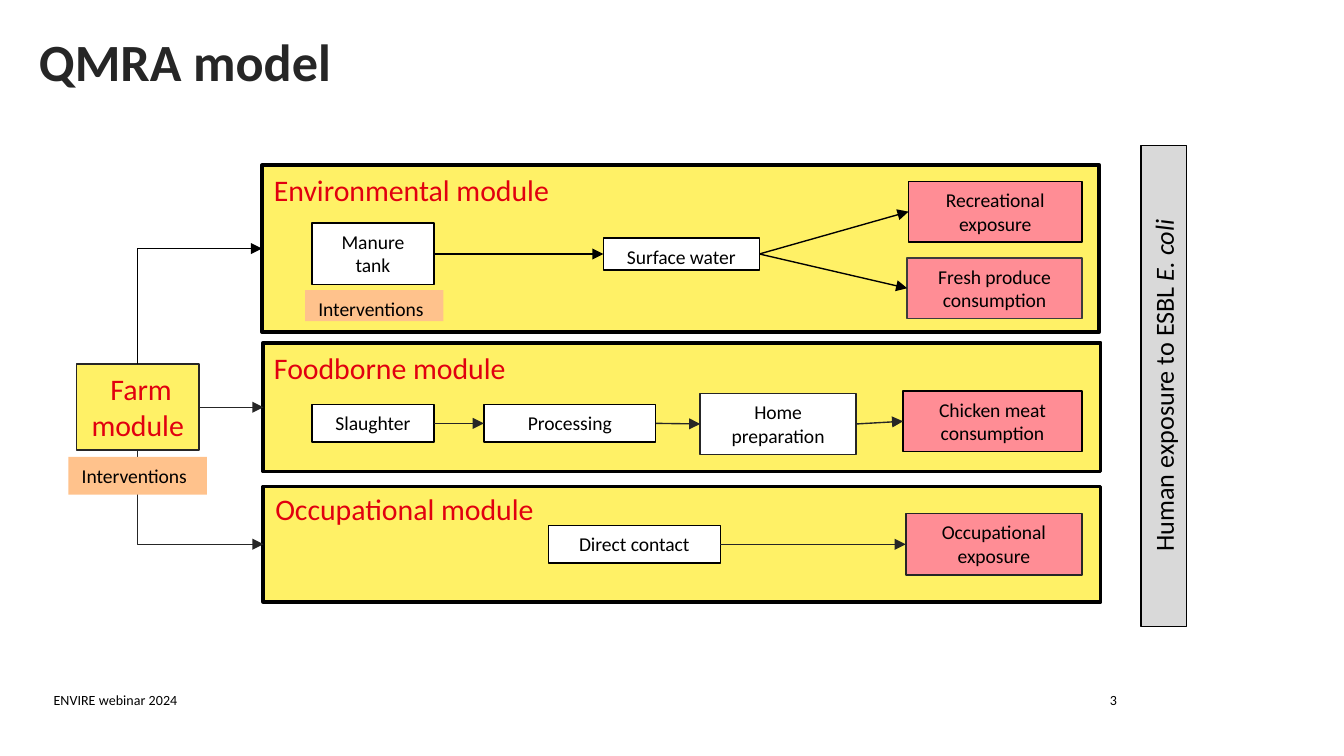
from lxml import etree
from pptx import Presentation
from pptx.dml.color import RGBColor
from pptx.enum.shapes import MSO_CONNECTOR as Connector, MSO_SHAPE as Shape
from pptx.enum.text import MSO_ANCHOR as Anchor, PP_ALIGN as Align
from pptx.oxml.ns import qn
from pptx.util import Pt

PX = 9144  # EMU per px, 100 px to the inch
SLIDE_WIDTH = 1000 * PX
SLIDE_HEIGHT = SLIDE_WIDTH * 9 // 16
FONT = "Calibri"
BLACK = RGBColor(0x00, 0x00, 0x00)
DARK = RGBColor(0x26, 0x26, 0x26)
GREY = RGBColor(0x3C, 0x3C, 0x3C)
SILVER = RGBColor(0xD9, 0xD9, 0xD9)
WHITE = RGBColor(0xFF, 0xFF, 0xFF)
RED = RGBColor(0xE1, 0x00, 0x0F)
YELLOW = RGBColor(0xFF, 0xF1, 0x66)
ORANGE = RGBColor(0xFF, 0xC2, 0x8C)
PINK = RGBColor(0xFF, 0x8D, 0x95)

TOP, LEFT, BOTTOM, RIGHT = range(4)  # connection sites of a rectangle


def scaled(bounds):
    return [length * PX for length in bounds]


def write(shape, text, size, color, align):
    """Fill the shape with one paragraph and return it."""
    frame = shape.text_frame
    frame.word_wrap = True
    frame.vertical_anchor = Anchor.TOP
    paragraph = frame.paragraphs[0]
    paragraph.alignment = align
    paragraph.font.name = FONT
    paragraph.font.size = Pt(size)
    paragraph.font.color.rgb = color
    paragraph.add_run().text = text
    return paragraph


def add_label(slide, bounds, text, size, color=BLACK, align=Align.LEFT):
    label = slide.shapes.add_textbox(*scaled(bounds))
    write(label, text, size, color, align)
    return label


def add_box(slide, bounds, fill, line=BLACK, width=0.75):
    box = slide.shapes.add_shape(Shape.RECTANGLE, *scaled(bounds))
    box.shadow.inherit = False
    box.fill.solid()
    box.fill.fore_color.rgb = fill
    if line is None:
        box.line.fill.background()
    else:
        box.line.color.rgb = line
        box.line.width = Pt(width)
    return box


def add_step(slide, bounds, text, fill=WHITE, line=BLACK):
    step = add_box(slide, bounds, fill, line)
    write(step, text, 10.5, BLACK, Align.CENTER)
    return step


def add_interventions(slide, bounds):
    box = add_box(slide, bounds, ORANGE, None)
    write(box, "Interventions", 10.5, BLACK, Align.LEFT)


def add_module(slide, bounds, name, label_bounds):
    module = add_box(slide, bounds, YELLOW, width=2)
    add_label(slide, label_bounds, name, 16, RED)
    return module


def add_link(slide, kind, start, end, color, arrow_end):
    """Glue a connector to two (shape, site) pairs; arrow_end is headEnd or tailEnd."""
    link = slide.shapes.add_connector(kind, 0, 0, 0, 0)
    link.begin_connect(*start)
    link.end_connect(*end)
    link.line.color.rgb = color
    link.line.width = Pt(0.75)
    properties = link._element.spPr
    line = properties.find(qn("a:ln"))
    etree.SubElement(line, qn("a:" + arrow_end), type="triangle")
    etree.SubElement(properties, qn("a:effectLst"))
    return link


def add_arrow(slide, source, target, color=DARK):
    add_link(slide, Connector.STRAIGHT, (source, RIGHT), (target, LEFT), color, "tailEnd")


def add_corner_arrow(slide, source, site, target, color):
    """One-bend arrow, drawn from its target so that the bend needs no rotation."""
    link = add_link(slide, Connector.ELBOW, (target, LEFT), (source, site), color, "headEnd")
    link._element.spPr.find(qn("a:prstGeom")).set("prst", "bentConnector2")


def add_environmental_module(slide):
    module = add_module(slide, (195, 123, 623, 124), "Environmental module",
                        (194, 123, 234, 30))
    manure = add_step(slide, (232, 166, 91, 46), "Manure tank")
    water = add_step(slide, (449, 177, 116, 24), "Surface water")
    recreation = add_step(slide, (676, 135, 129, 45), "Recreational exposure", PINK)
    produce = add_step(slide, (675, 192, 130, 45), "Fresh produce consumption", PINK, GREY)
    for source, target in ((manure, water), (water, recreation), (water, produce)):
        add_arrow(slide, source, target, BLACK)
    add_interventions(slide, (227, 216, 103, 23))
    return module


def add_foodborne_module(slide):
    module = add_module(slide, (196, 255, 623, 96), "Foodborne module",
                        (194, 255, 208, 37))
    steps = [
        add_step(slide, (232, 301, 91, 28), "Slaughter"),
        add_step(slide, (360, 301, 128, 28), "Processing"),
        add_step(slide, (521, 293, 116, 45), "Home preparation", line=DARK),
        add_step(slide, (672, 291, 133, 45), "Chicken meat consumption", PINK),
    ]
    for source, target in zip(steps, steps[1:]):
        add_arrow(slide, source, target)
    return module


def add_occupational_module(slide):
    module = add_module(slide, (196, 362, 623, 86), "Occupational module",
                        (195, 360, 323, 37))
    contact = add_step(slide, (408, 391, 128, 28), "Direct contact")
    exposure = add_step(slide, (674, 382, 131, 46), "Occupational exposure", PINK, DARK)
    add_arrow(slide, contact, exposure)
    return module


def add_farm_module(slide, environmental, foodborne, occupational):
    farm = add_box(slide, (57, 271, 91, 64), YELLOW, DARK)
    write(farm, " Farm module", 16, RED, Align.CENTER)
    add_corner_arrow(slide, farm, TOP, environmental, BLACK)
    add_arrow(slide, farm, foodborne)
    add_corner_arrow(slide, farm, BOTTOM, occupational, DARK)
    add_interventions(slide, (51, 340, 103, 28))


def add_exposure_bar(slide):
    bar = add_box(slide, (687, 270, 358, 34), SILVER)
    bar.rotation = 270
    paragraph = write(bar, "Human exposure to ESBL ", 14, BLACK, Align.CENTER)
    species = paragraph.add_run()
    species.text = "E. coli"
    species.font.italic = True


def add_title(slide):
    title = add_label(slide, (29, 27, 892, 70), "QMRA model", 28, DARK)
    frame = title.text_frame
    frame.margin_left = frame.margin_right = frame.margin_top = frame.margin_bottom = 0
    frame.paragraphs[0].line_spacing = 0.9
    frame.paragraphs[0].font.bold = True


def main():
    presentation = Presentation()
    presentation.slide_width = SLIDE_WIDTH
    presentation.slide_height = SLIDE_HEIGHT
    slide = presentation.slides.add_slide(presentation.slide_layouts[6])

    add_title(slide)
    environmental = add_environmental_module(slide)
    foodborne = add_foodborne_module(slide)
    occupational = add_occupational_module(slide)
    add_farm_module(slide, environmental, foodborne, occupational)
    add_exposure_bar(slide)
    add_label(slide, (30, 510, 338, 23), "ENVIRE webinar 2024", 7.5)
    add_label(slide, (693, 510, 148, 23), "3", 7.5, align=Align.RIGHT)

    presentation.save("out.pptx")


if __name__ == "__main__":
    main()
